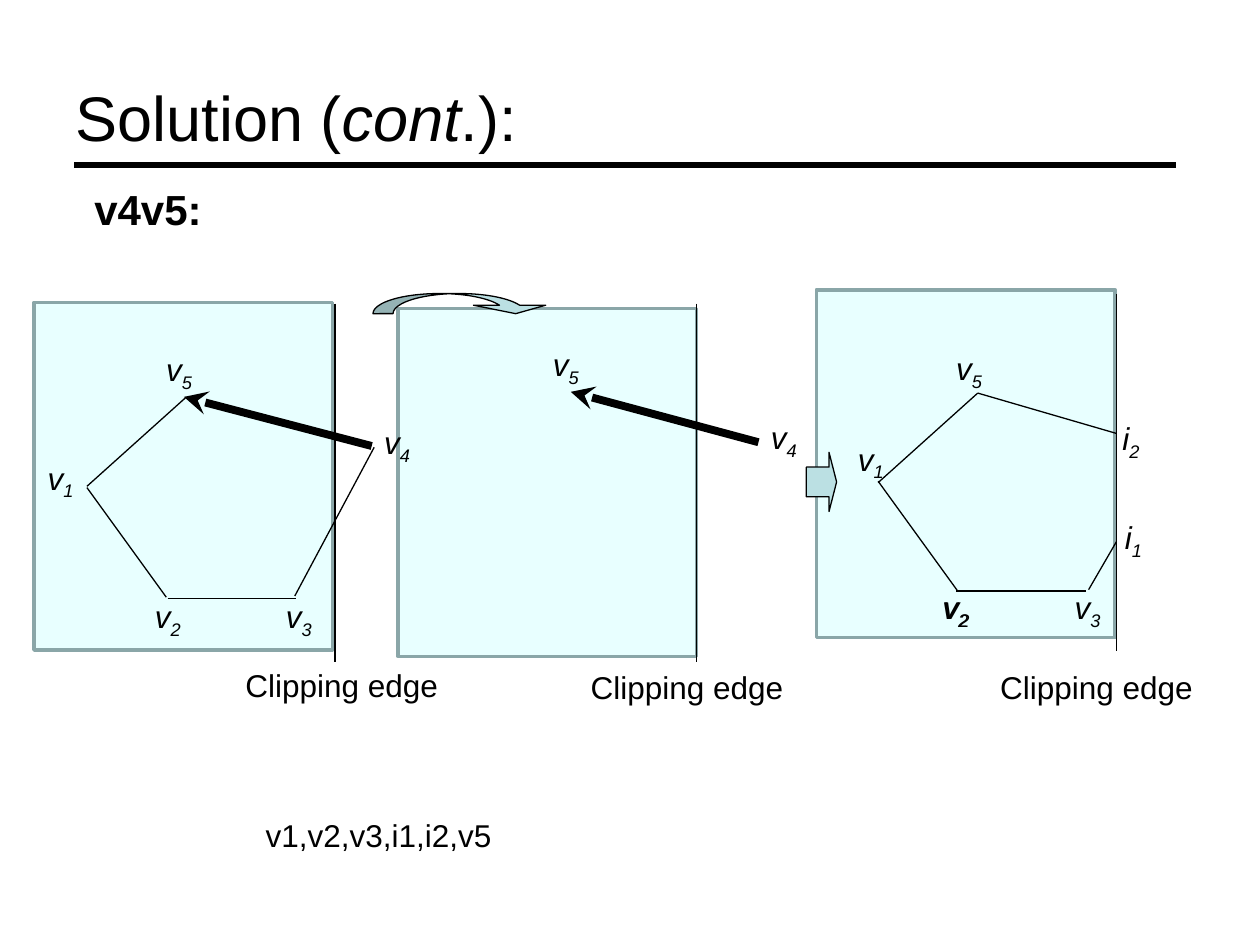
from lxml.etree import SubElement
from pptx import Presentation
from pptx.dml.color import RGBColor
from pptx.enum.shapes import MSO_CONNECTOR, MSO_SHAPE
from pptx.enum.text import MSO_ANCHOR, MSO_AUTO_SIZE, PP_ALIGN
from pptx.oxml.ns import qn
from pptx.util import Inches, Pt

BLACK = RGBColor(0x00, 0x00, 0x00)
PANEL_FILL = RGBColor(0xE8, 0xFF, 0xFF)
PANEL_LINE = RGBColor(0x8A, 0xA6, 0xA8)
ARROW_FILL = RGBColor(0xBB, 0xE0, 0xE3)

deck = Presentation()
deck.slide_width, deck.slide_height = Inches(10), Inches(7.5)
CELL = deck.slide_width // 100  # the slide is a grid of 100 columns and 75 rows
page = deck.slides.add_slide(deck.slide_layouts[5])


def add_text(text, left, top, width, height=4, size=18, bold=False,
             italic=False, subscript="", wrap=False):
    box = page.shapes.add_textbox(*[int(CELL * n) for n in (left, top, width, height)])
    frame = box.text_frame
    frame.word_wrap = wrap
    frame.auto_size = MSO_AUTO_SIZE.SHAPE_TO_FIT_TEXT
    para = frame.paragraphs[0]
    for part in filter(None, (text, subscript)):
        span = para.add_run()
        span.text = part
        span.font.name, span.font.size = "Arial", Pt(size)
        span.font.bold, span.font.italic = bold, italic
        span.font.color.rgb = BLACK
    if subscript:
        span.font._element.set("baseline", "-25000")


def add_line(start, end, weight=0.75, arrow=False):
    line = page.shapes.add_connector(
        MSO_CONNECTOR.STRAIGHT, *[int(CELL * n) for n in (*start, *end)])
    line.line.color.rgb = BLACK
    line.line.width = Pt(weight)
    if arrow:
        SubElement(line.line._get_or_add_ln(), qn("a:tailEnd"), type="stealth")
    SubElement(line._element.spPr, qn("a:effectLst"))


# Title with its rule
title = page.shapes.title
title.left, title.top, title.width, title.height = [
    int(CELL * n) for n in (5, 3, 90, 12.5)]
title.text_frame.auto_size = MSO_AUTO_SIZE.NONE
title.text_frame.vertical_anchor = MSO_ANCHOR.MIDDLE
heading = title.text_frame.paragraphs[0]
heading.alignment = PP_ALIGN.LEFT
for text, italic in (("Solution (", False), ("cont", True), (".):", False)):
    span = heading.add_run()
    span.text = text
    span.font.name, span.font.size, span.font.italic = "Arial", Pt(36), italic
    span.font.color.rgb = BLACK
add_line((5.9, 13.1), (93.3, 13.1), weight=3)

# Clipping windows, then the arrows between the steps
panel = (MSO_SHAPE.RECTANGLE, PANEL_FILL, PANEL_LINE, 2, ())
step = (ARROW_FILL, BLACK, 0.75)
for (kind, fill, outline, weight, adjustments), bounds in (
    (panel, (64.8, 23, 23.7, 27.6)),
    (panel, (31.6, 24.5, 23.7, 27.6)),
    (panel, (2.7, 24, 23.7, 27.6)),
    ((MSO_SHAPE.CURVED_DOWN_ARROW, *step, (1.79, 3.59, 0.42)), (29.6, 23.3, 14.2, 1.6)),
    ((MSO_SHAPE.RIGHT_ARROW, *step, (0.5, 0.25)), (64, 35.9, 2.4, 4.7)),
):
    shape = page.shapes.add_shape(kind, *[int(CELL * n) for n in bounds])
    shape.shadow.inherit = False
    shape.fill.solid()
    shape.fill.fore_color.rgb = fill
    shape.line.color.rgb = outline
    shape.line.width = Pt(weight)
    for index, value in enumerate(adjustments):
        shape.adjustments[index] = value

# Clipping edges with their captions
for edge, top, caption_left, caption_top in (
    (26.6, 24.1, 18.5, 52.4), (55.3, 24.1, 45.9, 52.5), (88.6, 23.3, 78.4, 52.5),
):
    add_line((edge, top), (edge, top + 28.4))
    add_text("Clipping edge", caption_left, caption_top, 17.3)

# Polygon sides before and after clipping
for start, end in (
    ((14.8, 31.5), (6.9, 38.6)), ((6.9, 38.7), (13.2, 47.4)),
    ((13.3, 47.5), (23.5, 47.5)), ((23.4, 47.3), (29.7, 35.5)),
    ((88.6, 34.4), (77.6, 31.2)), ((77.6, 31.2), (69.7, 38.3)),
    ((69.7, 38.2), (76, 46.9)), ((75.9, 46.9), (86.2, 46.9)),
    ((86.4, 46.8), (88.6, 43)),
):
    add_line(start, end)

# The side being clipped, from v4 to v5
for start, end in (((29.5, 35.4), (14.6, 31.5)), ((60.2, 35.1), (45.3, 31.1))):
    add_line(start, end, weight=4.5, arrow=True)

# Vertex and intersection labels; the doubled v2 looks bold
for letter, number, left, top in (
    ("v", "1", 2.8, 35.9), ("v", "5", 12.2, 27.3), ("v", "2", 11.3, 46.9),
    ("v", "3", 21.7, 46.9), ("v", "4", 29.5, 33.1),
    ("v", "5", 42.9, 26.9), ("v", "4", 60.2, 32.7),
    ("v", "1", 67.1, 34.4), ("v", "2", 73.8, 46.2), ("v", "2", 73.9, 46.2),
    ("v", "3", 84.3, 46.2), ("v", "5", 74.9, 27.2),
    ("i", "1", 88.3, 40.6), ("i", "2", 88.1, 32.8),
):
    add_text(letter, left, top, 4.2 if letter == "v" else 3.5,
             italic=True, subscript=number)

# Current side and resulting vertex list
add_text("v4v5:", 6.5, 14.1, 87.6, height=5.1, size=24, bold=True, wrap=True)
add_text("v1,v2,v3,i1,i2,v5", 20.1, 64.3, 55.1, wrap=True)

deck.save("out.pptx")
